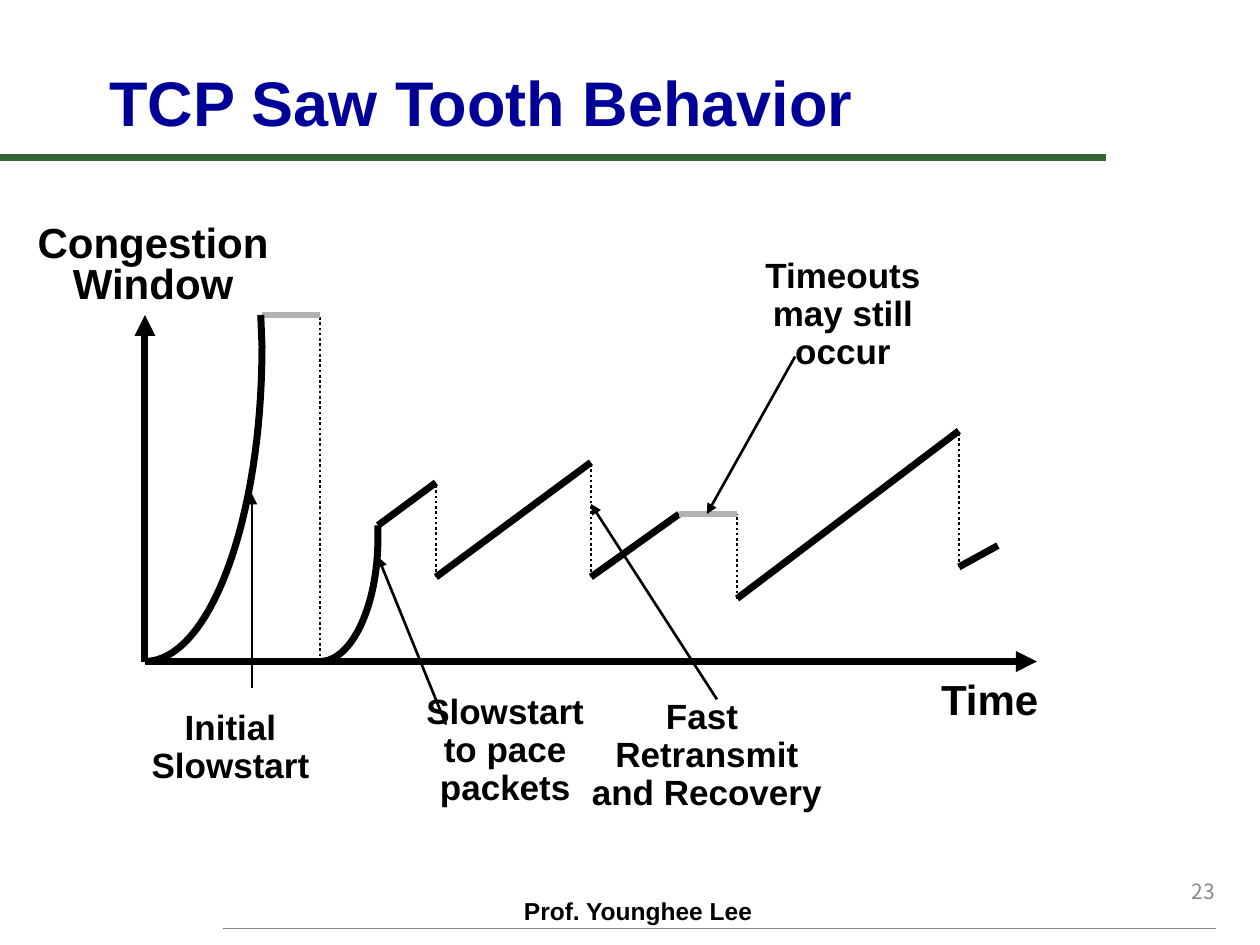
"""Build the TCP saw tooth behavior slide."""
from dataclasses import dataclass

from lxml import etree
from pptx import Presentation
from pptx.dml.color import RGBColor
from pptx.enum.dml import MSO_LINE
from pptx.enum.shapes import MSO_CONNECTOR
from pptx.enum.text import MSO_ANCHOR, PP_ALIGN
from pptx.oxml.ns import qn
from pptx.util import Inches, Pt

STRAIGHT = MSO_CONNECTOR.STRAIGHT
DOTS = MSO_LINE.ROUND_DOT
TOP, MIDDLE, BOTTOM = MSO_ANCHOR.TOP, MSO_ANCHOR.MIDDLE, MSO_ANCHOR.BOTTOM
LEFT, CENTER, RIGHT = PP_ALIGN.LEFT, PP_ALIGN.CENTER, PP_ALIGN.RIGHT


@dataclass(frozen=True)
class Theme:
    ink: str = "000000"
    title: str = "000099"
    rule: str = "336633"
    foot: str = "868686"
    page: str = "898989"
    pause: str = "B2B2B2"
    font: str = "Arial"
    plain: str = "Noto Sans CJK KR"
    head: int = 36
    axis: int = 24
    note: int = 20
    name: int = 14
    small: int = 12
    thick: float = 4
    flat: float = 3
    thin: float = 1.5


theme = Theme()
deck = Presentation()
deck.slide_width, deck.slide_height = Inches(10), Inches(7.5)
slide = deck.slides.add_slide(deck.slide_layouts[6])
shapes = slide.shapes


def draw(start, end, width=theme.thick, color=theme.ink, dash=None, arrow=False):
    ends = [Inches(v) for v in (*start, *end)]
    link = shapes.add_connector(STRAIGHT, *ends)
    link.line.width = Pt(width)
    link.line.color.rgb = RGBColor.from_string(color)
    if dash:
        link.line.dash_style = dash
    if arrow:
        tip = etree.SubElement(link.line._get_or_add_ln(), qn("a:tailEnd"))
        tip.set("type", "triangle")
    etree.SubElement(link._element.spPr, qn("a:effectLst"))


def write(box, lines, size, color=theme.ink, font=theme.font, bold=True,
          align=CENTER, space=None, anchor=TOP, wrap=False):
    frame = shapes.add_textbox(*[Inches(v) for v in box]).text_frame
    frame.word_wrap = wrap
    frame.vertical_anchor = anchor
    frame.text = "\n".join(lines)
    for para in frame.paragraphs:
        para.alignment = align
        para.line_spacing = space
        para.font.size = Pt(size)
        para.font.name = font
        para.font.bold = bold
        para.font.color.rgb = RGBColor.from_string(color)


draw((0, 1.25), (8.78, 1.25), color=theme.rule)
draw((1.77, 7.37), (9.65, 7.37), 1, theme.foot)
write((4.06, 7.06, 2.08, 0.33), ["Prof. Younghee Lee"], theme.name,
      align=LEFT, wrap=True)
write((7.66, 6.82, 2.08, 0.5), ["23"], theme.small, theme.page, theme.plain,
      False, RIGHT, anchor=MIDDLE, wrap=True)
write((0.77, 0.44, 8.9, 0.71), ["TCP Saw Tooth Behavior"], theme.head,
      theme.title, align=LEFT, anchor=BOTTOM, wrap=True)

base = 5.25
for end in ((1.15, 2.5), (8.23, base)):
    draw((1.15, base), end, arrow=True)
write((7.37, 5.3, 0.98, 0.5), ["Time"], theme.axis, align=LEFT)
write((0.19, 1.75, 2.05, 0.75), ["Congestion", "Window"], theme.axis, space=0.8)

climbs = [
    ((3, 4.17), (3.46, 3.83)),
    ((3.46, 4.58), (4.69, 3.67)),
    ((4.69, 4.58), (5.39, 4.08)),
    ((5.85, 4.75), (7.61, 3.42)),
    ((7.61, 4.5), (7.92, 4.33)),
]
for start, end in climbs:
    draw(start, end)

drops = [(2.54, 2.5, base), (3.46, 3.83, 4.58), (4.69, 3.67, 4.58),
         (5.85, 4.08, 4.75), (7.61, 3.42, 4.5)]
for x, high, low in drops:
    draw((x, low), (x, high), theme.thin, dash=DOTS)

for x, end, y in ((2.08, 2.54, 2.5), (5.39, 5.85, 4.08)):
    draw((x, y), (end, y), theme.flat, theme.pause)

steps = 32
curves = [
    ((1.15, base), (1.66, base), (2.08, 4.13), (2.08, 2.75), (2.07, 2.5)),
    ((2.54, base), (2.79, base), (3, 4.81), (3, 4.27), (3, 4.17)),
]
for *knots, last in curves:
    points = []
    for step in range(steps + 1):
        t = step / steps
        parts = ((1 - t) ** 3, 3 * t * (1 - t) ** 2, 3 * t * t * (1 - t), t ** 3)
        points.append([Inches(sum(p * k[i] for p, k in zip(parts, knots)))
                       for i in (0, 1)])
    points.append([Inches(v) for v in last])
    path = shapes.build_freeform(*points[0])
    path.add_line_segments(points[1:], close=False)
    curve = path.convert_to_shape()
    curve.shadow.inherit = False
    curve.fill.background()
    curve.line.width = Pt(theme.thick)
    curve.line.color.rgb = RGBColor.from_string(theme.ink)

notes = [
    ((1.1, 5.59, 1.46, 0.71), ["Initial", "Slowstart"], (2, 5.46), (2, 3.92)),
    ((4.59, 5.5, 2.04, 1.01), ["Fast ", "Retransmit", "and Recovery"],
     (5.69, 5.55), (4.69, 4)),
    ((3.28, 5.46, 1.46, 1.01), ["Slowstart", "to pace", "packets"],
     (3.54, 5.75), (3, 4.42)),
    ((5.97, 2, 1.44, 1.01), ["Timeouts", "may still", "occur"],
     (6.31, 2.83), (5.61, 4.08)),
]
for box, lines, start, end in notes:
    draw(start, end, theme.thin, arrow=True)
    write(box, lines, theme.note, space=0.9)

deck.save("out.pptx")
